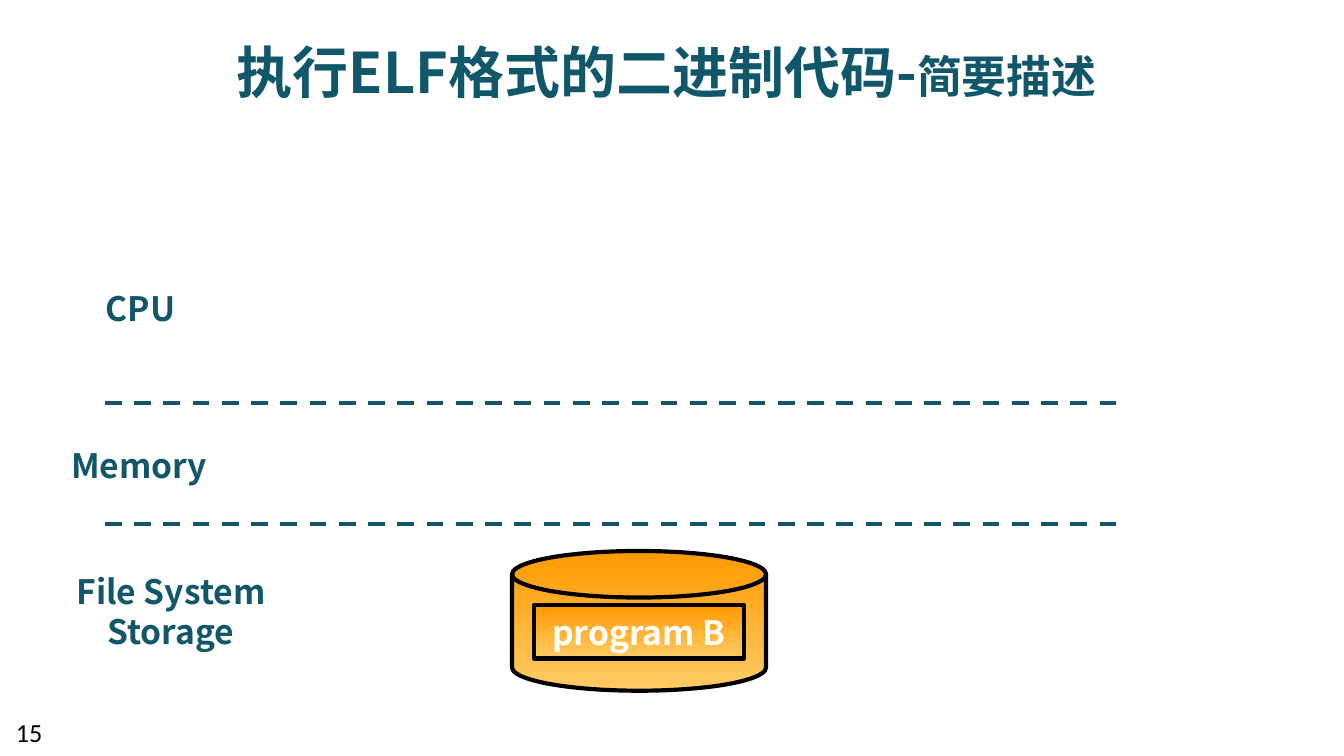
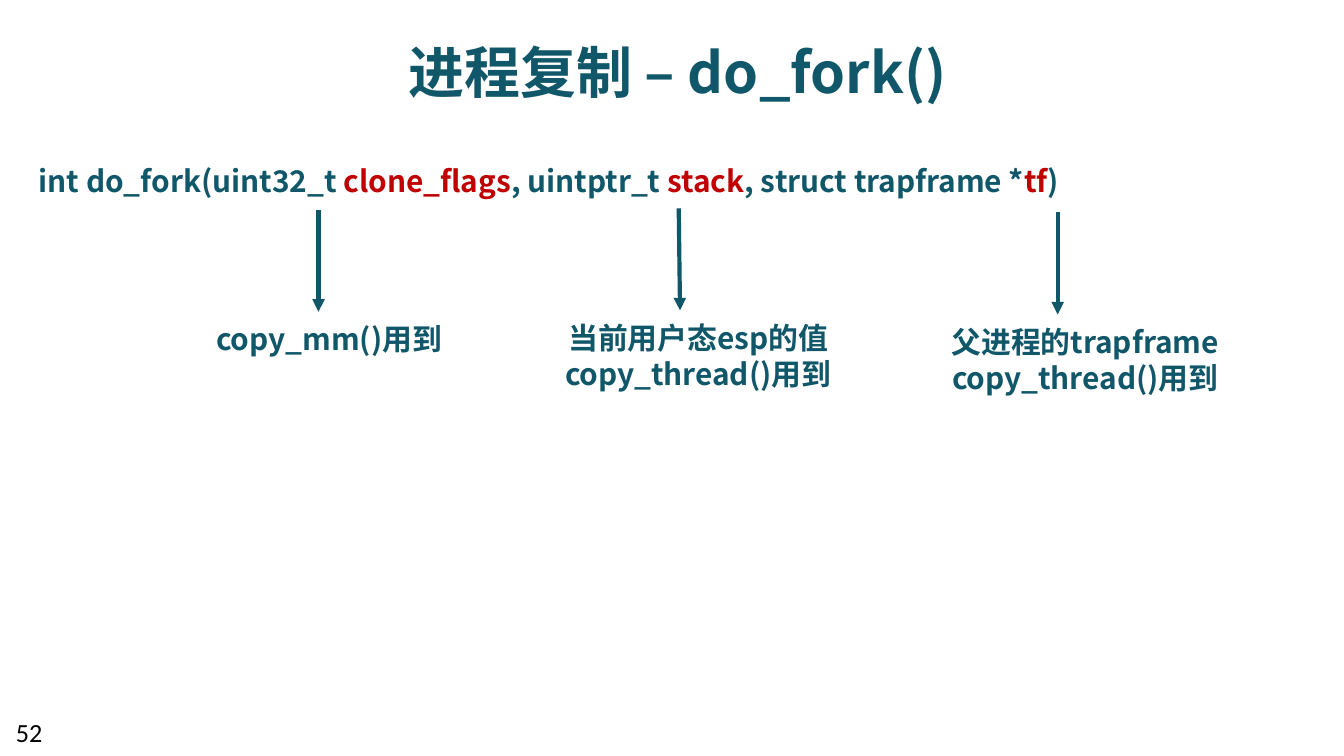
"""Build two slides on running a program and on do_fork()."""
import dataclasses

import lxml.etree
import pptx
import pptx.dml.color
import pptx.enum.dml
import pptx.enum.shapes
import pptx.enum.text
import pptx.oxml.ns
import pptx.util

Inches = pptx.util.Inches
RGB = pptx.dml.color.RGBColor.from_string
SHAPE = pptx.enum.shapes.MSO_SHAPE
ALIGN = pptx.enum.text.PP_ALIGN
FIT = pptx.enum.text.MSO_AUTO_SIZE.SHAPE_TO_FIT_TEXT


@dataclasses.dataclass(frozen=True)
class Theme:
    """Colours, fonts and type sizes of the deck."""

    teal: str = "11576A"
    red: str = "C00000"
    black: str = "000000"
    white: str = "FFFFFF"
    gradient: tuple = ("FFCC66", "FF9900")
    font: str = "Noto Sans CJK SC"
    number_font: str = "Calibri"
    title: int = 30
    subtitle: int = 24
    label: int = 18
    note: int = 16
    number: int = 14
    line: float = 2.25


T = Theme()
WIDTH = 10
HEIGHT = WIDTH * 9 / 16


def apply(target, values):
    """Set each named attribute of the target."""
    for name, value in values.items():
        setattr(target, name, value)


def sub(parent, tag, **attrs):
    """Append a drawing element to the parent."""
    return lxml.etree.SubElement(parent, pptx.oxml.ns.qn(tag), attrs)


def write(tf, paragraphs, size, aligns=(None,), color=T.teal, bold=True, font=T.font):
    """Fill a text frame with paragraphs of (text, format) runs."""
    aligns = aligns * len(paragraphs) if len(aligns) == 1 else aligns
    for i, (runs, align) in enumerate(zip(paragraphs, aligns)):
        p = tf.paragraphs[0] if i == 0 else tf.add_paragraph()
        p.alignment = align
        for text, changes in runs:
            r = p.add_run()
            r.text = text
            look = {"size": size, "color": color} | changes
            apply(r.font, {"size": pptx.util.Pt(look["size"]), "bold": bold, "name": font})
            r.font.color.rgb = RGB(look["color"])
            sub(r.font._element, "a:ea", typeface=font)


def add_text(s, box, paragraphs, size, wrap=False, fit=True, **look):
    """Add a text box at the given box."""
    tf = s.shapes.add_textbox(*map(Inches, box)).text_frame
    apply(tf, {"word_wrap": wrap, "auto_size": FIT if fit else None})
    write(tf, paragraphs, size, **look)


def plain(*lines):
    """Turn lines into paragraphs of one unchanged run."""
    return [[(line, {})] for line in lines]


def add_line(s, start, end, dashed=False, arrow=False):
    """Add a teal line, dashed or with an arrowhead on request."""
    kind = pptx.enum.shapes.MSO_CONNECTOR.STRAIGHT
    c = s.shapes.add_connector(kind, *map(Inches, (*start, *end)))
    c.line.width = pptx.util.Pt(T.line)
    c.line.color.rgb = RGB(T.teal)
    if dashed:
        c.line.dash_style = pptx.enum.dml.MSO_LINE.DASH
    if arrow:
        sub(c.line._get_or_add_ln(), "a:tailEnd", type="triangle")
    sub(c._element.spPr, "a:effectLst")


def add_orange(s, kind, box):
    """Add a black-edged shape with the orange gradient."""
    sp = s.shapes.add_shape(kind, *map(Inches, box))
    sp.shadow.inherit = False
    sp.fill.gradient()
    sp.fill.gradient_angle = 90
    for stop, color in zip(sp.fill.gradient_stops, T.gradient):
        stop.color.rgb = RGB(color)
    sp.line.width = pptx.util.Pt(T.line)
    sp.line.color.rgb = RGB(T.black)
    return sp


def add_page(prs, number, title, box):
    """Add a blank slide with its title and page number."""
    s = prs.slides.add_slide(prs.slide_layouts[6])
    add_text(s, box, [title], T.title, wrap=True, aligns=(ALIGN.CENTER,))
    add_text(s, (0.02, 5.28, 0.48, 0.3), plain(number), T.number, wrap=True,
             fit=False, color=T.black, bold=False, font=T.number_font)
    return s


def add_layers(s, box):
    """Draw the CPU, memory and storage layers with their dividers."""
    x, y, w, _ = box
    labels = (
        (0.26, 0, 0.73, 0.4, ("CPU",), (None,)),
        (0, 1.17, 1.29, 0.4, ("Memory",), (None,)),
        (0.04, 2.11, 1.71, 0.71, ("File System", "Storage"), (None, ALIGN.CENTER)),
    )
    for dy in (0.91, 1.81):
        add_line(s, (x + 0.35, y + dy), (x + w, y + dy), dashed=True)
    for dx, dy, lw, lh, lines, aligns in labels:
        add_text(s, (x + dx, y + dy, lw, lh), plain(*lines), T.label, aligns=aligns)


def add_disk(s, box):
    """Draw the storage disk holding a program."""
    x, y, w, _ = box
    program_w = 1.56
    add_orange(s, SHAPE.FLOWCHART_MAGNETIC_DISK, box)
    sp = add_orange(s, SHAPE.RECTANGLE, (x + (w - program_w) / 2, y + 0.4, program_w, 0.4))
    sp.text_frame.vertical_anchor = pptx.enum.text.MSO_ANCHOR.MIDDLE
    write(sp.text_frame, plain("program B"), T.label, aligns=(ALIGN.CENTER,), color=T.white)


def add_argument(s, box, arrow_dx, slant, lines, align):
    """Draw the arrow from an argument and the note it points to."""
    x, y, w, h = box
    tip = y + 0.76
    add_line(s, (x + arrow_dx, y), (x + arrow_dx + slant, tip), arrow=True)
    add_text(s, (x, tip + 0.02, w, h), plain(*lines), T.note, aligns=(align,))


def add_signature(s, box):
    """Write the do_fork() signature with its arguments in red."""
    red = {"color": T.red}
    runs = [("int do_fork(uint32_t ", {}), ("clone_flags", red), (", uintptr_t ", {}),
            ("stack", red), (", struct trapframe *", {}), ("tf", red), (")", {})]
    add_text(s, box, [runs], T.note)


def main():
    """Build and save the deck."""
    prs = pptx.Presentation()
    apply(prs, {"slide_width": Inches(WIDTH), "slide_height": Inches(HEIGHT)})

    title = [("执行ELF格式的二进制代码-", {}), ("简要描述", {"size": T.subtitle})]
    s = add_page(prs, "15", title, (1.3, 0.23, 7.32, 0.61))
    add_layers(s, (0.43, 2.09, 7.88, 2.82))
    add_disk(s, (3.81, 4.1, 1.89, 1.04))

    s = add_page(prs, "52", [("进程复制 – do_fork()", {})], (0.39, 0.23, 9.3, 0.61))
    add_signature(s, (0.19, 1.16, 7.97, 0.37))
    thread = "copy_thread()用到"
    arguments = (
        ((1.51, 1.56, 1.91, 0.37), 0.86, 0, ("copy_mm()用到",), None),
        ((4.09, 1.55, 2.21, 0.64), 0.96, 0.01, ("当前用户态esp的值", thread), ALIGN.CENTER),
        ((6.93, 1.58, 2.29, 0.64), 0.94, 0, ("父进程的trapframe", thread), ALIGN.CENTER),
    )
    for argument in arguments:
        add_argument(s, *argument)
    prs.save("out.pptx")


if __name__ == "__main__":
    main()
